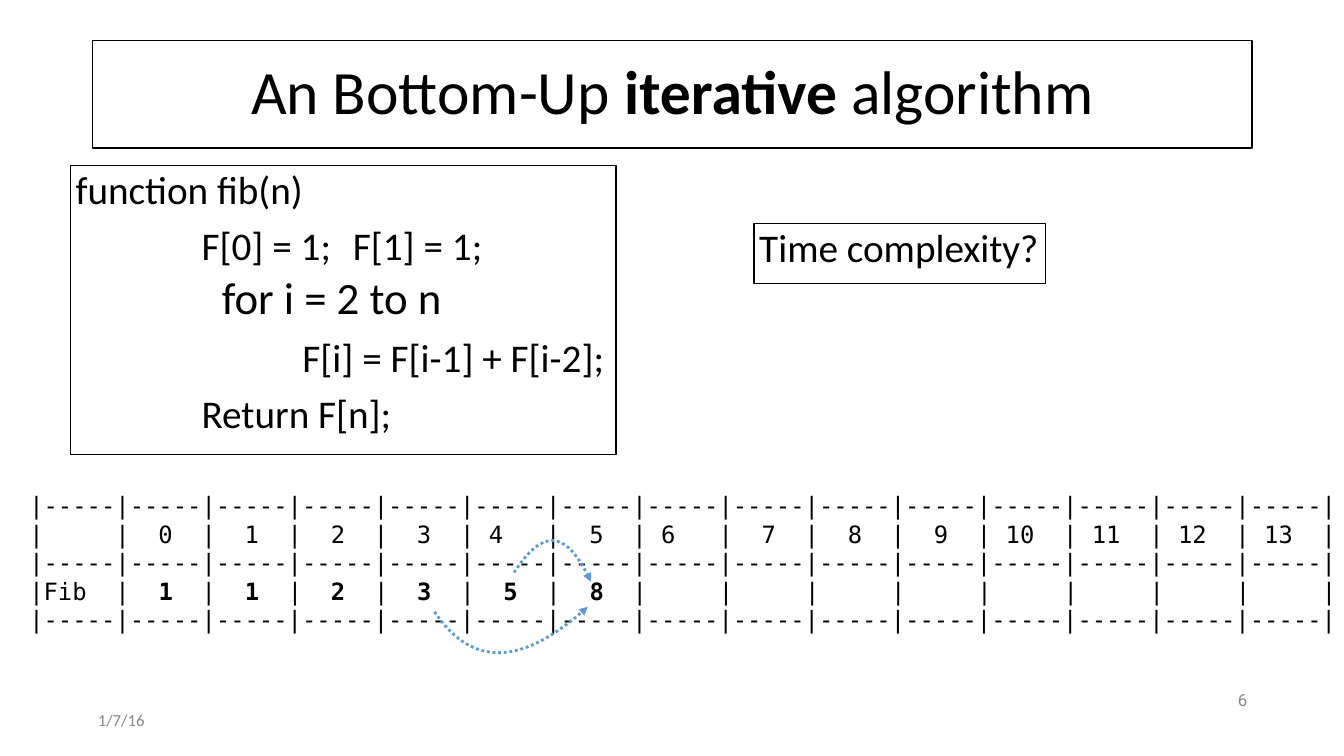
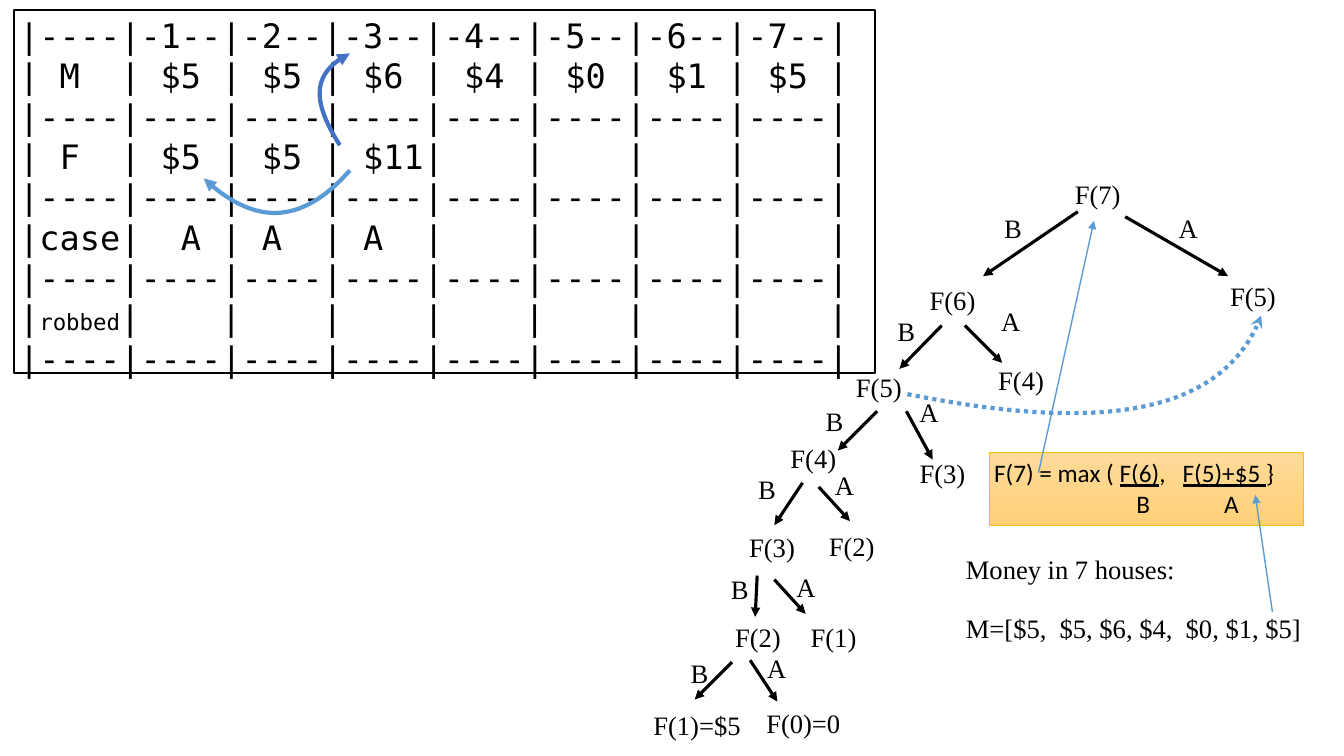
"""Build two slides on bottom-up dynamic programming: Fibonacci and the house robber."""
from dataclasses import dataclass
from typing import NamedTuple, Optional, Sequence

from lxml.etree import SubElement
from pptx import Presentation
from pptx.dml.color import RGBColor
from pptx.enum.dml import MSO_LINE
from pptx.enum.shapes import MSO_CONNECTOR, MSO_SHAPE
from pptx.enum.text import MSO_ANCHOR, PP_ALIGN
from pptx.oxml.ns import qn
from pptx.shapes.base import BaseShape
from pptx.slide import Slide
from pptx.util import Emu, Pt

PX = 9144
COLORS = {
    "ink": "000000",
    "footer": "888888",
    "sky": "5B9BD5",
    "blue": "4472C4",
    "gold": "FFC000",
    "gold_top": "FFDB9B",
    "gold_bottom": "FFD078",
}
SANS, SERIF, MONO = "Calibri", "Times New Roman", "DejaVu Sans Mono"


class Box(NamedTuple):
    left: int
    top: int
    width: int
    height: int


class Point(NamedTuple):
    x: int
    y: int


class Label(NamedTuple):
    text: str
    left: int
    top: int
    width: int


@dataclass(frozen=True)
class Style:
    size: int
    font: str
    color: str = "ink"


@dataclass(frozen=True)
class Run:
    text: str
    bold: bool = False
    underline: bool = False
    size: Optional[int] = None


@dataclass(frozen=True)
class Line:
    runs: Sequence[Run]
    indent: int = 0
    before: int = 0
    spacing: float = 1.0
    align: PP_ALIGN = PP_ALIGN.LEFT
    tabs: Sequence[int] = ()


@dataclass(frozen=True)
class Stroke:
    color: str
    width: float
    dash: Optional[MSO_LINE] = None
    tip: str = "triangle"


@dataclass(frozen=True)
class Curve:
    points: Sequence[Point]
    stroke: Stroke


TITLE = Style(44, SANS)
CODE = Style(28, SANS)
FORMULA = Style(18, SANS)
TREE = Style(19, SERIF)
EDGE = Stroke("ink", 2.25)
POINTER = Stroke("sky", 1)
DOTTED = Stroke("sky", 2, MSO_LINE.ROUND_DOT)

TREE_NODES = [
    Label("F(7)", 1061, 172, 59),
    Label("F(6)", 917, 277, 59),
    Label("F(5)", 1215, 273, 114),
    Label("F(5)", 844, 363, 114),
    Label("F(4)", 985, 356, 75),
    Label("F(4)", 779, 433, 75),
    Label("F(3)", 907, 448, 85),
    Label("F(3)", 738, 522, 75),
    Label("F(2)", 817, 521, 75),
    Label("F(2)", 724, 611, 75),
    Label("F(1)", 799, 611, 63),
    Label("F(1)=$5", 643, 698, 105),
    Label("F(0)=0", 755, 696, 92),
]
CASE_A = [(1164, 205), (988, 298), (907, 388), (823, 460), (785, 561), (756, 642)]
CASE_B = [(991, 205), (885, 307), (814, 397), (747, 464), (720, 563), (680, 647)]
TREE_EDGES = [
    (Point(1069, 210), Point(975, 274)),
    (Point(1116, 215), Point(1218, 274)),
    (Point(934, 323), Point(892, 366)),
    (Point(957, 323), Point(994, 360)),
    (Point(870, 408), Point(831, 447)),
    (Point(899, 408), Point(925, 456)),
    (Point(796, 479), Point(768, 521)),
    (Point(812, 483), Point(843, 517)),
    (Point(751, 571), Point(749, 612)),
    (Point(768, 575), Point(799, 609)),
    (Point(726, 657), Point(689, 694)),
    (Point(744, 655), Point(771, 696)),
]
FORMULA_POINTERS = [
    (Point(1030, 469), Point(1085, 219)),
    (Point(1262, 607), Point(1245, 491)),
]


def rgb(name: str) -> RGBColor:
    return RGBColor.from_string(COLORS[name])


def emu(box: Sequence[int]) -> list[Emu]:
    return [Emu(length * PX) for length in box]


def plain(text: str, **options) -> Line:
    return Line([Run(text)], **options)


def grid_row(cells: Sequence[str], width: int) -> str:
    return "|" + "|".join(f"{cell:^{width}}" for cell in cells) + "|"


def write(shape: BaseShape, lines: Sequence[Line], style: Style,
          anchor: MSO_ANCHOR = MSO_ANCHOR.TOP) -> None:
    frame = shape.text_frame
    frame.word_wrap = True
    frame.vertical_anchor = anchor
    frame.margin_left = frame.margin_right = Emu(5 * PX)
    frame.margin_top = frame.margin_bottom = Emu(5 * PX)
    for index, line in enumerate(lines):
        paragraph = frame.add_paragraph() if index else frame.paragraphs[0]
        paragraph.alignment = line.align
        paragraph.line_spacing = line.spacing
        paragraph.space_before = Pt(line.before)
        properties = paragraph._p.get_or_add_pPr()
        properties.set("marL", str(line.indent * PX))
        if line.tabs:
            stops = SubElement(properties, qn("a:tabLst"))
            for position in line.tabs:
                SubElement(stops, qn("a:tab"), pos=str(position * PX), algn="l")
        for item in line.runs:
            run = paragraph.add_run()
            run.text = item.text
            run.font.name = style.font
            run.font.size = Pt(item.size or style.size)
            run.font.color.rgb = rgb(style.color)
            run.font.bold = item.bold
            run.font.underline = item.underline


def add_text(slide: Slide, box: Box, lines: Sequence[Line], style: Style,
             anchor: MSO_ANCHOR = MSO_ANCHOR.TOP) -> None:
    write(slide.shapes.add_textbox(*emu(box)), lines, style, anchor)


def add_frame(slide: Slide, box: Box, lines: Sequence[Line], style: Style,
              anchor: MSO_ANCHOR = MSO_ANCHOR.TOP) -> BaseShape:
    shape = slide.shapes.add_shape(MSO_SHAPE.RECTANGLE, *emu(box))
    shape.shadow.inherit = False
    shape.fill.background()
    shape.line.color.rgb = rgb("ink")
    shape.line.width = Pt(1)
    write(shape, lines, style, anchor)
    return shape


def apply_stroke(shape: BaseShape, stroke: Stroke) -> None:
    shape.line.color.rgb = rgb(stroke.color)
    shape.line.width = Pt(stroke.width)
    if stroke.dash:
        shape.line.dash_style = stroke.dash
    outline = shape._element.spPr.find(qn("a:ln"))
    SubElement(outline, qn("a:tailEnd"), type=stroke.tip)


def add_arrow(slide: Slide, start: Point, end: Point, stroke: Stroke) -> None:
    connector = slide.shapes.add_connector(MSO_CONNECTOR.STRAIGHT, *emu(start), *emu(end))
    apply_stroke(connector, stroke)
    SubElement(connector._element.spPr, qn("a:effectLst"))


def add_curve(slide: Slide, curve: Curve) -> None:
    start, *others = curve.points
    builder = slide.shapes.build_freeform(*start, scale=PX)
    builder.add_line_segments(others, close=False)
    shape = builder.convert_to_shape()
    segments = list(shape._element.iter(qn("a:lnTo")))
    outline = segments[0].getparent()
    bezier = SubElement(outline, qn("a:cubicBezTo"))
    for segment in segments:
        bezier.append(segment[0])
        outline.remove(segment)
    shape.shadow.inherit = False
    shape.fill.background()
    apply_stroke(shape, curve.stroke)


def build_fibonacci(slide: Slide) -> None:
    title = Line([Run("An Bottom-Up "), Run("iterative", bold=True), Run(" algorithm")],
                 spacing=0.9, align=PP_ALIGN.CENTER)
    add_frame(slide, Box(92, 40, 1150, 107), [title], TITLE, MSO_ANCHOR.MIDDLE)
    code = [
        plain("function fib(n)", before=10, spacing=0.9),
        plain("F[0] = 1;\tF[1] = 1;", indent=125, before=10, spacing=0.9),
        Line([Run("for i = 2 to n", size=32)], indent=145, before=5, spacing=0.9),
        plain("F[i] = F[i-1] + F[i-2];", indent=225, before=10, spacing=0.9),
        plain("Return F[n];", indent=125, before=10, spacing=0.9),
    ]
    add_frame(slide, Box(70, 164, 541, 287), code, CODE)
    add_frame(slide, Box(748, 222, 289, 59), [plain("Time complexity?", spacing=0.9)], CODE)

    rule = plain(grid_row(["-----"] * 15, 5))
    indexes = [""] + [f" {n}   " if n in (4, 6) else str(n) for n in range(14)]
    values = [Run("|Fib  ")]
    for digit in "112358":
        values += [Run("|  "), Run(digit, bold=True), Run("  ")]
    values.append(Run(grid_row([""] * 8, 5)))
    table = [rule, plain(grid_row(indexes, 5)), rule, Line(values), rule]
    add_text(slide, Box(24, 482, 1319, 149), table, Style(17, MONO))
    for points in (
        [Point(510, 568), Point(538, 524), Point(563, 527), Point(586, 577)],
        [Point(431, 607), Point(468, 662), Point(519, 660), Point(583, 602)],
    ):
        add_curve(slide, Curve(points, DOTTED))

    add_text(slide, Box(92, 700, 300, 29), [plain("1/7/16")],
             Style(12, SANS, "footer"), MSO_ANCHOR.MIDDLE)
    add_text(slide, Box(942, 680, 300, 29), [plain("6", align=PP_ALIGN.RIGHT)],
             Style(12, "Roboto", "footer"), MSO_ANCHOR.MIDDLE)


def build_robber(slide: Slide) -> None:
    money = [plain(text, indent=25, before=19)
             for text in ("Money in 7 houses:", "M=[$5,  $5, $6, $4,  $0, $1, $5]")]
    add_text(slide, Box(928, 544, 375, 97), money, TREE)
    cases = [Label(letter, left, top, 40)
             for letter, places in (("A", CASE_A), ("B", CASE_B)) for left, top in places]
    for label in TREE_NODES + cases:
        add_text(slide, Box(label.left, label.top, label.width, 41), [plain(label.text)], TREE)
    for start, end in TREE_EDGES:
        add_arrow(slide, start, end, EDGE)

    formula = [
        Line([Run("F(7) = max ( "), Run("F(6)", underline=True), Run(",   "),
              Run("F(5)+$5 ", underline=True), Run("}")]),
        plain("\tB\tA", tabs=(141, 228)),
    ]
    panel = add_frame(slide, Box(981, 449, 312, 72), formula, FORMULA)
    panel.fill.gradient()
    panel.fill.gradient_angle = 270
    for stop, color in zip(panel.fill.gradient_stops, ("gold_top", "gold_bottom")):
        stop.color.rgb = rgb(color)
    panel.line.color.rgb = rgb("gold")
    panel.line.width = Pt(0.5)
    for start, end in FORMULA_POINTERS:
        add_arrow(slide, start, end, POINTER)

    rule = plain(grid_row(["----"] * 8, 4))
    table = [
        plain(grid_row(["----"] + [f"-{house}--" for house in range(1, 8)], 4)),
        plain(grid_row(["M", "$5", "$5", "$6", "$4", "$0", "$1", "$5"], 4)),
        rule,
        plain(grid_row(["F", "$5", "$5", " $11"] + [""] * 4, 4)),
        rule,
        plain(grid_row(["case", "  A ", "A", "A"] + [""] * 4, 4)),
        rule,
        Line([Run("|"), Run("robbed", size=16), Run(grid_row([""] * 7, 4))]),
        rule,
    ]
    add_frame(slide, Box(14, 10, 854, 360), table, Style(24, MONO))
    for curve in (
        Curve([Point(900, 391), Point(1099, 431), Point(1216, 405), Point(1251, 313)],
              Stroke("sky", 3, MSO_LINE.ROUND_DOT, "stealth")),
        Curve([Point(347, 169), Point(301, 221), Point(252, 224), Point(202, 177)],
              Stroke("sky", 3)),
        Curve([Point(337, 144), Point(309, 100), Point(312, 70), Point(347, 53)],
              Stroke("blue", 3)),
    ):
        add_curve(slide, curve)


def main() -> None:
    presentation = Presentation()
    presentation.slide_width, presentation.slide_height = emu((1333, 750))
    for build in (build_fibonacci, build_robber):
        build(presentation.slides.add_slide(presentation.slide_layouts[6]))
    presentation.save("out.pptx")


if __name__ == "__main__":
    main()
